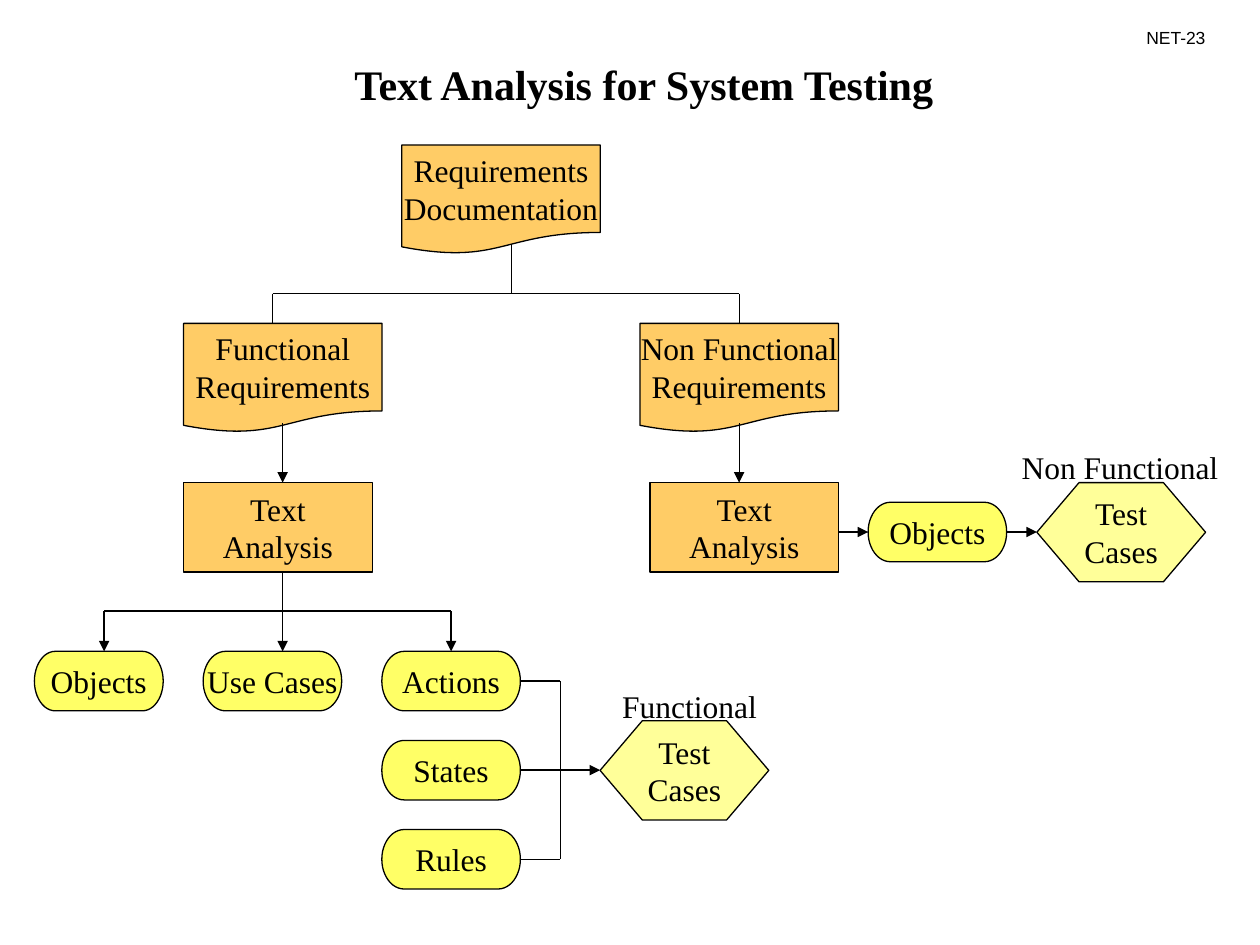
from lxml import etree
from pptx import Presentation
from pptx import util as u
from pptx.dml.color import RGBColor
from pptx.enum import shapes, text
from pptx.oxml.ns import qn

BLACK = RGBColor(0, 0, 0)
ORANGE = RGBColor(0xFF, 0xCC, 0x66)
YELLOW = RGBColor(0xFF, 0xFF, 0x66)
PALE_YELLOW = RGBColor(0xFF, 0xFF, 0x99)

DOCUMENT = shapes.MSO_SHAPE.FLOWCHART_DOCUMENT
RECTANGLE = shapes.MSO_SHAPE.RECTANGLE
TERMINATOR = shapes.MSO_SHAPE.FLOWCHART_TERMINATOR
HEXAGON = shapes.MSO_SHAPE.HEXAGON

LEFT = text.PP_ALIGN.LEFT
CENTER = text.PP_ALIGN.CENTER

presentation = Presentation()
presentation.slide_width = u.Pt(720)
presentation.slide_height = u.Pt(540)
slide = presentation.slides.add_slide(presentation.slide_layouts[6])


def write_text(shape, content, size=18, font="Times New Roman", bold=False,
               align=CENTER, anchor=text.MSO_ANCHOR.MIDDLE, wrap=False):
    frame = shape.text_frame
    frame.text = content
    frame.word_wrap = wrap
    frame.vertical_anchor = anchor
    for paragraph in frame.paragraphs:
        paragraph.alignment = align
        paragraph.font.size = u.Pt(size)
        paragraph.font.name = font
        paragraph.font.bold = bold
        paragraph.font.color.rgb = BLACK


def add_line(x1, y1, x2, y2, arrow=False, begin=None, end=None):
    connector = slide.shapes.add_connector(
        shapes.MSO_CONNECTOR.STRAIGHT, u.Pt(x1), u.Pt(y1), u.Pt(x2), u.Pt(y2))
    connector.line.color.rgb = BLACK
    connector.line.width = u.Pt(0.75)
    if arrow:
        etree.SubElement(connector.line._get_or_add_ln(), qn("a:tailEnd"), type="triangle")
    etree.SubElement(connector._element.spPr, qn("a:effectLst"))
    if begin:
        connector.begin_connect(*begin)
    if end:
        connector.end_connect(*end)


step_left, step_top, step_width, step_height = 218.2, 372.2, 79.2, 34
step_gap = 50.9
step_right = step_left + step_width
step_middle = step_left + step_width / 2
step_centers = [step_top + step_height / 2 + i * step_gap for i in range(3)]

nodes = [
    ("requirements", "Requirements\nDocumentation", DOCUMENT, ORANGE, 229.6, 82.8, 113.4, 62.4),
    ("functional", "Functional\nRequirements", DOCUMENT, ORANGE, 104.9, 184.8, 113.4, 62.4),
    ("non functional", "Non Functional\nRequirements", DOCUMENT, ORANGE, 365.7, 184.8, 113.4, 62.4),
    ("functional analysis", "Text\nAnalysis", RECTANGLE, ORANGE, 104.9, 275.8, 107.8, 51),
    ("non functional analysis", "Text\nAnalysis", RECTANGLE, ORANGE, 371.4, 275.8, 107.8, 51),
    ("objects", "Objects", TERMINATOR, YELLOW, 19.7, step_top, 73.6, step_height),
    ("use cases", "Use Cases", TERMINATOR, YELLOW, 116.1, step_top, step_width, step_height),
    ("functional tests", "Test\nCases", HEXAGON, PALE_YELLOW, 342.9, 411.9, 96.4, 56.7),
    ("non functional tests", "Test\nCases", HEXAGON, PALE_YELLOW, 592.5, 275.8, 96.4, 56.7),
    ("non functional objects", "Objects", TERMINATOR, YELLOW, 496.1, 287, step_width, step_height),
]
for i, label in enumerate(["Actions", "States", "Rules"]):
    nodes.append((label.lower(), label, TERMINATOR, YELLOW,
                  step_left, step_top + i * step_gap, step_width, step_height))

node_shapes = {}
for name, label, kind, color, *box in nodes:
    shape = slide.shapes.add_shape(kind, *[u.Pt(length) for length in box])
    shape.shadow.inherit = False
    shape.fill.solid()
    shape.fill.fore_color.rgb = color
    shape.line.color.rgb = BLACK
    shape.line.width = u.Pt(0.75)
    if kind == HEXAGON:
        shape.adjustments[0] = 0.425
    write_text(shape, label)
    node_shapes[name] = shape

text_boxes = [
    ("Text Analysis for System Testing", (97.9, 30, 540, 36),
     dict(size=24, bold=True, align=CENTER, wrap=True)),
    ("Functional", (348.5, 388.8, 91.4, 28.8), dict(align=LEFT)),
    ("Non Functional", (576.7, 252.7, 126.7, 28.8), dict(align=LEFT)),
    ("NET-23", (648, 12.2, 48.2, 19.4),
     dict(size=10, font="Arial", align=LEFT, wrap=True)),
]
for content, box, style in text_boxes:
    text_box = slide.shapes.add_textbox(*[u.Pt(length) for length in box])
    write_text(text_box, content, anchor=text.MSO_ANCHOR.TOP, **style)

split_top, functional_x, non_functional_x = 167.8, 161.5, 422.4
add_line(155.8, split_top, non_functional_x, split_top)
add_line(292.2, 139.6, 292.2, split_top)
for x in (155.8, non_functional_x):
    add_line(x, split_top, x, 184.8)
for x in (functional_x, non_functional_x):
    add_line(x, 241.8, x, 275.8, arrow=True)

branch_top = 349.2
add_line(functional_x, 326.8, functional_x, step_top, arrow=True)
add_line(59.5, branch_top, step_middle, branch_top)
add_line(59.5, branch_top, 59.5, step_top, arrow=True)
add_line(step_middle, branch_top, step_middle, step_top, arrow=True,
         end=(node_shapes["actions"], 0))

join_x = 320.2
add_line(join_x, step_centers[0], join_x, step_centers[2])
for name, y, x, arrow in zip(["actions", "states", "rules"], step_centers,
                             [join_x, 342.9, join_x], [False, True, False]):
    add_line(step_right, y, x, y, arrow=arrow, begin=(node_shapes[name], 3))

objects_shape = node_shapes["non functional objects"]
add_line(479.2, 304, 496.1, 304, arrow=True, end=(objects_shape, 1))
add_line(575.3, 304, 592.5, 304, arrow=True, begin=(objects_shape, 3))

presentation.save("out.pptx")
